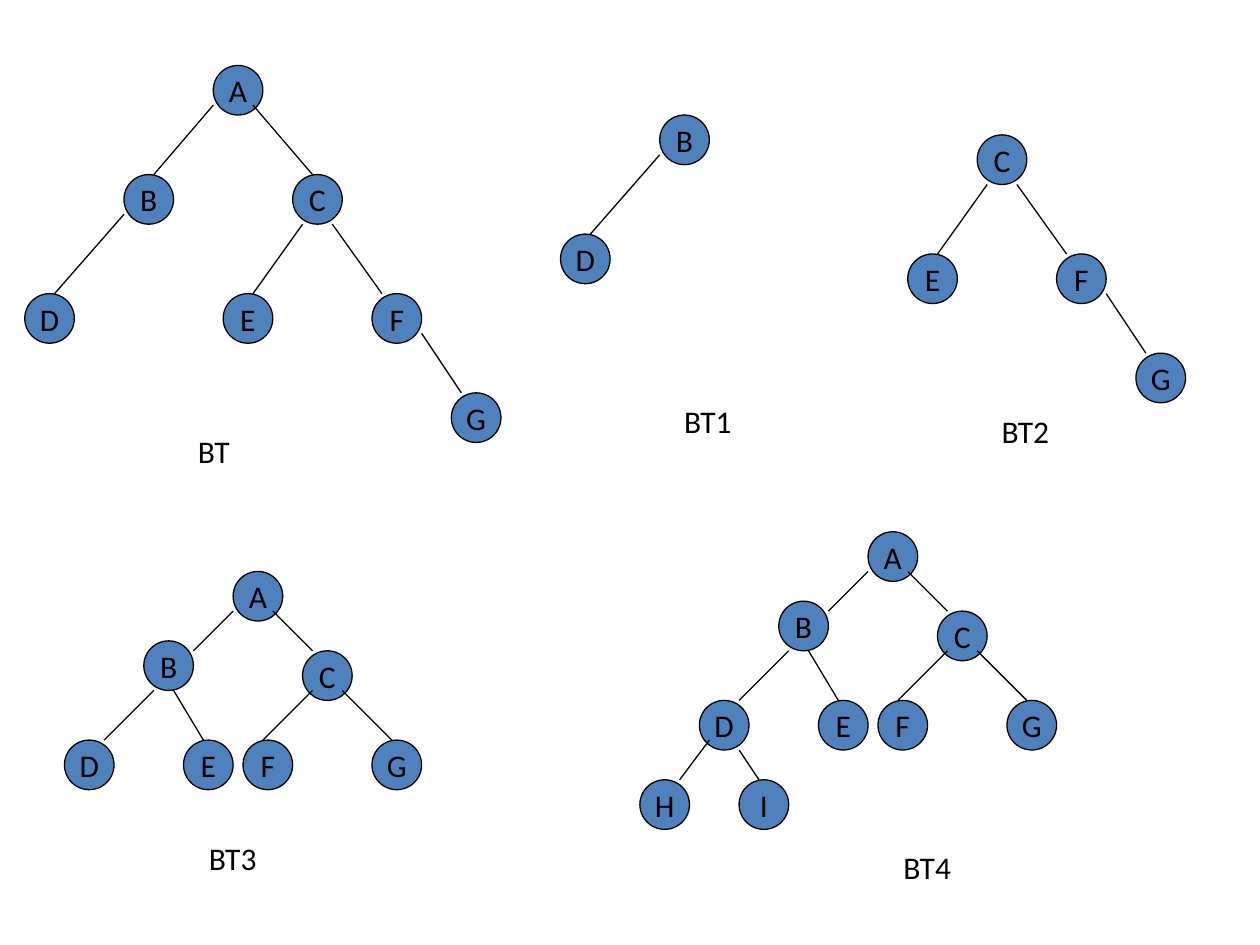
from pptx import Presentation
from pptx.dml.color import RGBColor
from pptx.enum.shapes import MSO_CONNECTOR, MSO_SHAPE
from pptx.enum.text import MSO_ANCHOR, MSO_AUTO_SIZE, PP_ALIGN
from pptx.oxml.ns import qn
from pptx.util import Inches, Pt

OVAL, STRAIGHT = MSO_SHAPE.OVAL, MSO_CONNECTOR.STRAIGHT
LEFT, CENTER = PP_ALIGN.LEFT, PP_ALIGN.CENTER
TOP, MIDDLE = MSO_ANCHOR.TOP, MSO_ANCHOR.MIDDLE
FIXED, GROW = MSO_AUTO_SIZE.NONE, MSO_AUTO_SIZE.SHAPE_TO_FIT_TEXT

# Content: node places in grid cells, and edges as
# (parent, child, offset inside parent, offset inside child)
SPARSE = {
    "nodes": {"A": (19, 0), "B": (10, 11), "C": (27, 11), "D": (0, 23),
              "E": (20, 23), "F": (35, 23), "G": (43, 33)},
    "edges": [("A", "B", (0, 4), (3, 0)), ("B", "D", (0, 4), (3, 0)),
              ("A", "C", (4, 4), (2, 0)), ("C", "E", (1, 5), (3, 0)),
              ("C", "F", (4, 5), (1, 0)), ("F", "G", (5, 4), (1, 0))],
}
DENSE = {
    "nodes": {"A": (17, 0), "B": (8, 7), "C": (24, 8), "D": (0, 17),
              "E": (12, 17), "F": (18, 17), "G": (31, 17),
              "H": (-6, 25), "I": (4, 25)},
    "edges": [("A", "B", (0, 4), (5, 1)), ("B", "D", (1, 5), (4, 0)),
              ("A", "C", (4, 4), (1, 0)), ("C", "F", (1, 4), (2, 0)),
              ("C", "G", (4, 4), (2, 0)), ("B", "E", (3, 5), (2, 0)),
              ("D", "H", (1, 4), (4, 0)), ("D", "I", (4, 5), (2, 0))],
}
# (label, layout, nodes shown, origin, label place, label width)
TREES = [
    ("BT", SPARSE, "ABCDEFG", (2.5, 6.6), (18.7, 42.9), 5.8),
    ("BT1", SPARSE, "BD", (56.5, 0.6), (67.7, 39.9), 7.4),
    ("BT2", SPARSE, "CEFG", (71.5, 2.6), (99.7, 40.9), 7.4),
    ("BT3", DENSE, "ABCDEFG", (6.5, 57.6), (19.8, 83.9), 7.4),
    ("BT4", DENSE, "ABCDEFGHI", (70.5, 53.6), (89.8, 84.9), 7.4),
]

THEME = {
    "node": RGBColor(0x4F, 0x81, 0xBD),
    "line": RGBColor(0, 0, 0),
    "line_width": Pt(0.75),
    "text": RGBColor(0, 0, 0),
    "font": {"name": "Calibri", "size": Pt(18)},
}
NODE_FRAME = {"word_wrap": False, "auto_size": FIXED, "vertical_anchor": MIDDLE}
LABEL_FRAME = {"word_wrap": False, "auto_size": GROW, "vertical_anchor": TOP}

# The slide is 127 square cells wide; a node spans 5 of them
SLIDE_WIDTH, SLIDE_HEIGHT = Inches(10), Inches(7.5)
CELL = SLIDE_WIDTH / 127
NODE_SIZE, LABEL_HEIGHT = 5, 5.1


def cells(*counts):
    return [round(count * CELL) for count in counts]


def shift(*points):
    return tuple(sum(axis) for axis in zip(*points))


def write(box, text, frame_format, align):
    frame = box.text_frame
    for name, value in frame_format.items():
        setattr(frame, name, value)
    para = frame.paragraphs[0]
    para.alignment = align
    span = para.add_run()
    span.text = text
    for name, value in THEME["font"].items():
        setattr(span.font, name, value)
    span.font.color.rgb = THEME["text"]


def outline(item):
    item.line.color.rgb = THEME["line"]
    item.line.width = THEME["line_width"]


def add_node(shapes, letter, place):
    node = shapes.add_shape(OVAL, *cells(*place, NODE_SIZE, NODE_SIZE))
    node.shadow.inherit = False
    node.fill.solid()
    node.fill.fore_color.rgb = THEME["node"]
    outline(node)
    write(node, letter, NODE_FRAME, CENTER)


def add_edge(shapes, start, end):
    edge = shapes.add_connector(STRAIGHT, *cells(*start, *end))
    outline(edge)
    properties = edge._element.spPr
    properties.append(properties.makeelement(qn("a:effectLst"), {}))


def add_tree(page, label, layout, shown, origin, label_place, label_width):
    shapes = page.shapes.add_group_shape().shapes
    places = {letter: shift(origin, layout["nodes"][letter]) for letter in shown}
    for letter, place in places.items():
        add_node(shapes, letter, place)
    for parent, child, out, into in layout["edges"]:
        if parent in places and child in places:
            add_edge(shapes, shift(places[parent], out), shift(places[child], into))
    box = shapes.add_textbox(*cells(*label_place, label_width, LABEL_HEIGHT))
    write(box, label, LABEL_FRAME, LEFT)


def main():
    deck = Presentation()
    deck.slide_width, deck.slide_height = SLIDE_WIDTH, SLIDE_HEIGHT
    page = deck.slides.add_slide(deck.slide_layouts[6])
    for tree in TREES:
        add_tree(page, *tree)
    deck.save("out.pptx")


if __name__ == "__main__":
    main()
